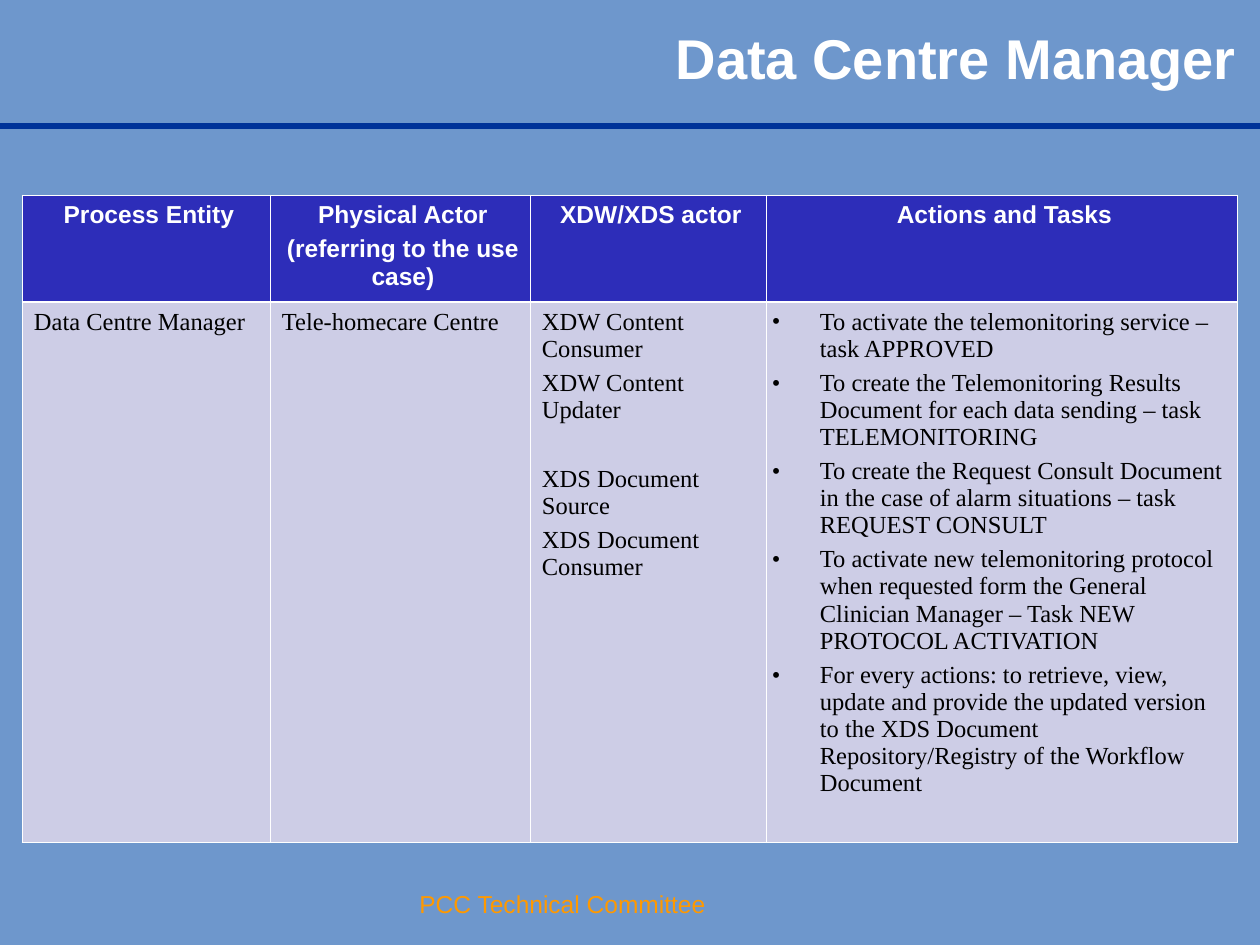
from pptx import Presentation
from pptx import util as u
from pptx.dml.color import RGBColor
from pptx.enum import shapes, text
from pptx.oxml import ns, xmlchemy

COLORS = {
    "page": "6E97CC", "rule": "003399", "footer": "FF9900", "white": "FFFFFF",
    "header": "2D2DB9", "body": "CDCDE6", "black": "000000",
}
COLUMNS = [248, 260, 236, 471]
ROWS = [102, 528]
HEADERS = [
    ["Process Entity"],
    ["Physical Actor", "(referring to the use case)"],
    ["XDW/XDS actor"],
    ["Actions and Tasks"],
]
ENTITY = ["Data Centre Manager"]
ACTOR = ["Tele-homecare Centre"]
XDW_ACTORS = ["XDW Content Consumer", "XDW Content Updater"]
XDS_ACTORS = ["XDS Document Source", "XDS Document Consumer"]
TASKS = [
    "To activate the telemonitoring service – task APPROVED",
    "To create the Telemonitoring Results Document for each data sending – task TELEMONITORING",
    "To create the Request Consult Document in the case of alarm situations – task REQUEST CONSULT",
    "To activate new telemonitoring protocol when requested form the General Clinician Manager"
    " – Task NEW PROTOCOL ACTIVATION",
    "For every actions: to retrieve, view, update and provide the updated version"
    " to the XDS Document Repository/Registry of the Workflow Document",
]


def px(length):
    return u.Emu(round(length * 914400 / 126))


def rgb(name):
    return RGBColor.from_string(COLORS[name])


class Slide:
    sans = "Arial"
    serif = "Times New Roman"

    def __init__(self, deck):
        self.page = deck.slides.add_slide(deck.slide_layouts[5])
        fill = self.page.background.fill
        fill.solid()
        fill.fore_color.rgb = rgb("page")

    def style(self, para, size, color, font, bold=False):
        for span in para.runs:
            span.font.size = u.Pt(size)
            span.font.name = font
            span.font.bold = bold
            span.font.color.rgb = rgb(color)

    def title(self, wording, left, top, width, height):
        box = self.page.shapes.title
        box.left, box.top, box.width, box.height = map(px, (left, top, width, height))
        frame = box.text_frame
        frame.text = wording
        frame.auto_size = text.MSO_AUTO_SIZE.NONE
        frame.vertical_anchor = text.MSO_ANCHOR.MIDDLE
        para = frame.paragraphs[0]
        para.alignment = text.PP_ALIGN.RIGHT
        self.style(para, 32, "white", self.sans, True)

    def rule(self, y, width):
        line = self.page.shapes.add_connector(
            shapes.MSO_CONNECTOR.STRAIGHT, 0, px(y), px(width), px(y))
        line.line.color.rgb = rgb("rule")
        line.line.width = u.Pt(3)
        line._element.spPr.append(xmlchemy.OxmlElement("a:effectLst"))

    def footer(self, wording, left, top, width, height):
        box = self.page.shapes.add_textbox(*map(px, (left, top, width, height)))
        frame = box.text_frame
        frame.text = wording
        frame.word_wrap = False
        frame.auto_size = text.MSO_AUTO_SIZE.SHAPE_TO_FIT_TEXT
        self.style(frame.paragraphs[0], 14, "footer", self.sans)

    def table(self, left, top, columns, rows):
        table = self.page.shapes.add_table(
            len(rows), len(columns), *map(px, (left, top, sum(columns), sum(rows)))).table
        table.horz_banding = False
        for column, width in zip(table.columns, columns):
            column.width = px(width)
        for row, height in zip(table.rows, rows):
            row.height = px(height)
        return table

    def border(self, cell, side, width):
        properties = cell._tc.get_or_add_tcPr()
        line = xmlchemy.OxmlElement(f"a:ln{side}")
        line.set("w", str(u.Pt(width)))
        fill = xmlchemy.OxmlElement("a:solidFill")
        color = xmlchemy.OxmlElement("a:srgbClr")
        color.set("val", COLORS["white"])
        fill.append(color)
        line.append(fill)
        properties.append(line)

    def bullet(self, properties):
        color = xmlchemy.OxmlElement("a:buClr")
        value = xmlchemy.OxmlElement("a:srgbClr")
        value.set("val", COLORS["black"])
        color.append(value)
        font = xmlchemy.OxmlElement("a:buFont")
        font.set("typeface", self.serif)
        mark = xmlchemy.OxmlElement("a:buChar")
        mark.set("char", "•")
        for element in (color, font, mark):
            properties.append(element)

    def cell(self, cell, lines, header=False, bullets=False):
        heavy = "B" if header else "T"
        for side in "LRTB":
            self.border(cell, side, 1.47 if side == heavy else 0.45)
        cell.fill.solid()
        cell.fill.fore_color.rgb = rgb("header" if header else "body")
        cell.margin_left = cell.margin_right = px(6)
        cell.margin_top = cell.margin_bottom = px(6)
        cell.text_frame.text = "\n".join(lines)
        for index, para in enumerate(cell.text_frame.paragraphs):
            properties = para._p.get_or_add_pPr()
            properties.set("marL", str(px(48 if bullets else 6)))
            properties.set("indent", str(px(-48 if bullets else 0)))
            if bullets:
                self.bullet(properties)
            para.space_before = u.Pt(2 if index else 0)
            para.space_after = u.Pt(2)
            if header:
                para.alignment = text.PP_ALIGN.CENTER
                self.style(para, 14, "white", self.sans, True)
            else:
                self.style(para, 14, "black", self.serif)


def main():
    deck = Presentation()
    deck.slide_width, deck.slide_height = px(1260), px(945)
    slide = Slide(deck)
    slide.rule(126, 1260)
    slide.footer("PCC Technical Committee", 407, 883, 314, 43)
    slide.title("Data Centre Manager", 357, -21, 892, 157)
    table = slide.table(22, 195, COLUMNS, ROWS)
    for column, lines in enumerate(HEADERS):
        slide.cell(table.cell(0, column), lines, header=True)
    for column, lines in enumerate([ENTITY, ACTOR, XDW_ACTORS + XDS_ACTORS, TASKS]):
        slide.cell(table.cell(1, column), lines, bullets=lines is TASKS)
    first_xds = table.cell(1, 2).text_frame.paragraphs[len(XDW_ACTORS)]
    first_xds.space_before = u.Pt(22)
    deck.save("out.pptx")


if __name__ == "__main__":
    main()
